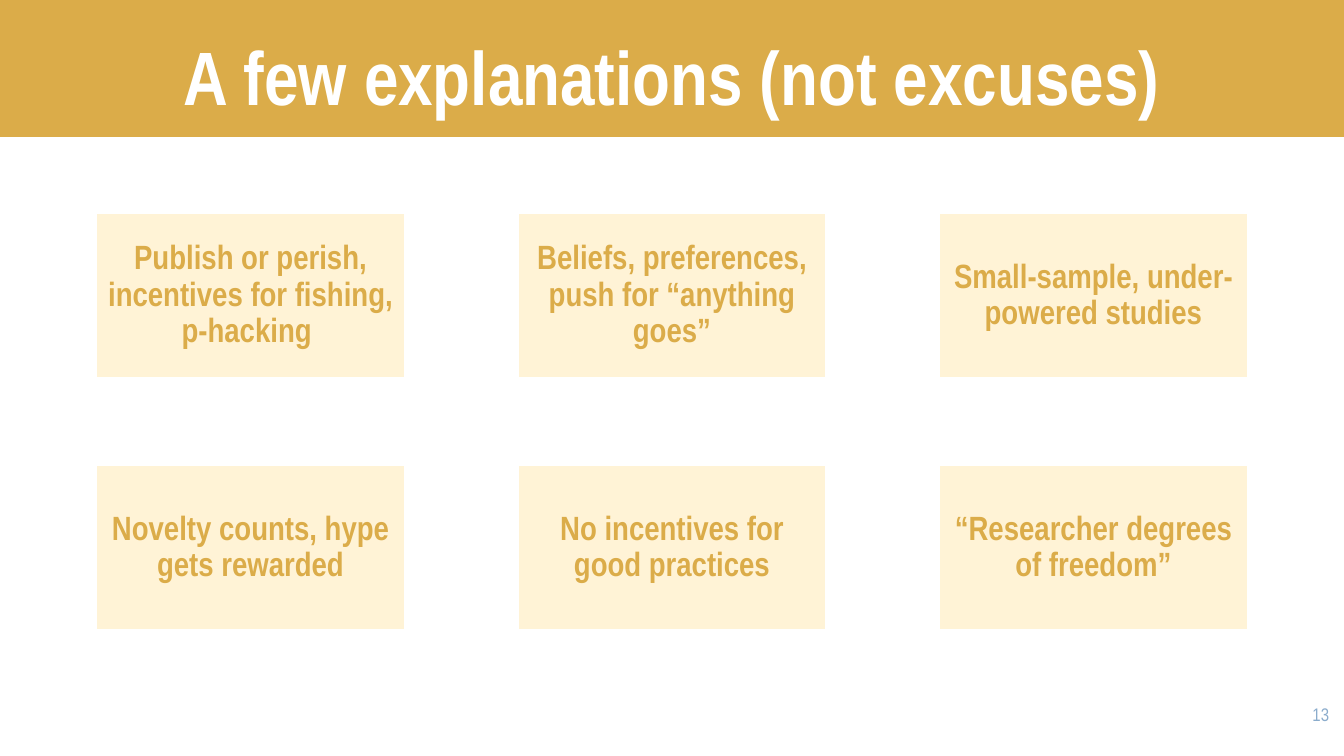
"""Build a slide with a title band and a grid of six explanations."""
from pptx import Presentation
from pptx import util as u
from pptx.dml.color import RGBColor
from pptx.enum import shapes, text

PX = 9144
GOLD = RGBColor(0xDB, 0xAC, 0x49)
CREAM = RGBColor(0xFF, 0xF3, 0xD6)
WHITE = RGBColor(0xFF, 0xFF, 0xFF)
BLUE = RGBColor(0x8B, 0xAC, 0xCC)
MID = text.MSO_ANCHOR.MIDDLE


def write(shape, words, size, color, bold=True, align=text.PP_ALIGN.CENTER,
          anchor=MID, pad=(10, 5), lead=1.0):
    frame = shape.text_frame
    frame.word_wrap = True
    frame.vertical_anchor = anchor
    frame.margin_left = frame.margin_right = pad[0] * PX
    frame.margin_top = frame.margin_bottom = pad[1] * PX
    para = frame.paragraphs[0]
    para.alignment = align
    para.line_spacing = lead
    run = para.add_run()
    run.text = words
    run.font.name = "Arial Narrow"
    run.font.size = u.Pt(size)
    run.font.bold = bold
    run.font.color.rgb = color


def block(left, top, width, height, fill):
    shape = slide.shapes.add_shape(
        shapes.MSO_SHAPE.RECTANGLE, left * PX, top * PX, width * PX, height * PX)
    shape.shadow.inherit = False
    shape.fill.solid()
    shape.fill.fore_color.rgb = fill
    shape.line.fill.background()
    return shape


deck = Presentation()
deck.slide_width = 1333 * PX
deck.slide_height = 750 * PX
slide = deck.slides.add_slide(deck.slide_layouts[6])

block(0, 0, 1338, 136, GOLD)
title = slide.shapes.add_textbox(0, -11 * PX, 1333 * PX, 136 * PX)
write(title, "A few explanations (not excuses)", 54, WHITE,
      anchor=text.MSO_ANCHOR.BOTTOM)

page = slide.shapes.add_textbox(1248 * PX, 693 * PX, 80 * PX, 57 * PX)
write(page, "13", 13, BLUE, bold=False, align=text.PP_ALIGN.RIGHT,
      anchor=text.MSO_ANCHOR.TOP)

grid = [
    ["Publish or perish, incentives for fishing, p-hacking ",
     "Beliefs, preferences, push for “anything goes”",
     "Small-sample, under-powered studies"],
    ["Novelty counts, hype gets rewarded",
     "No incentives for good practices",
     "“Researcher degrees of freedom”"],
]
for row, line in enumerate(grid):
    for col, words in enumerate(line):
        card = block(95 + col * 418, 211 + row * 250, 307, 164, CREAM)
        card.line.color.rgb = WHITE
        card.line.width = u.Pt(2)
        write(card, words, 24, GOLD, pad=(12, 12), lead=0.9)

deck.save("out.pptx")
